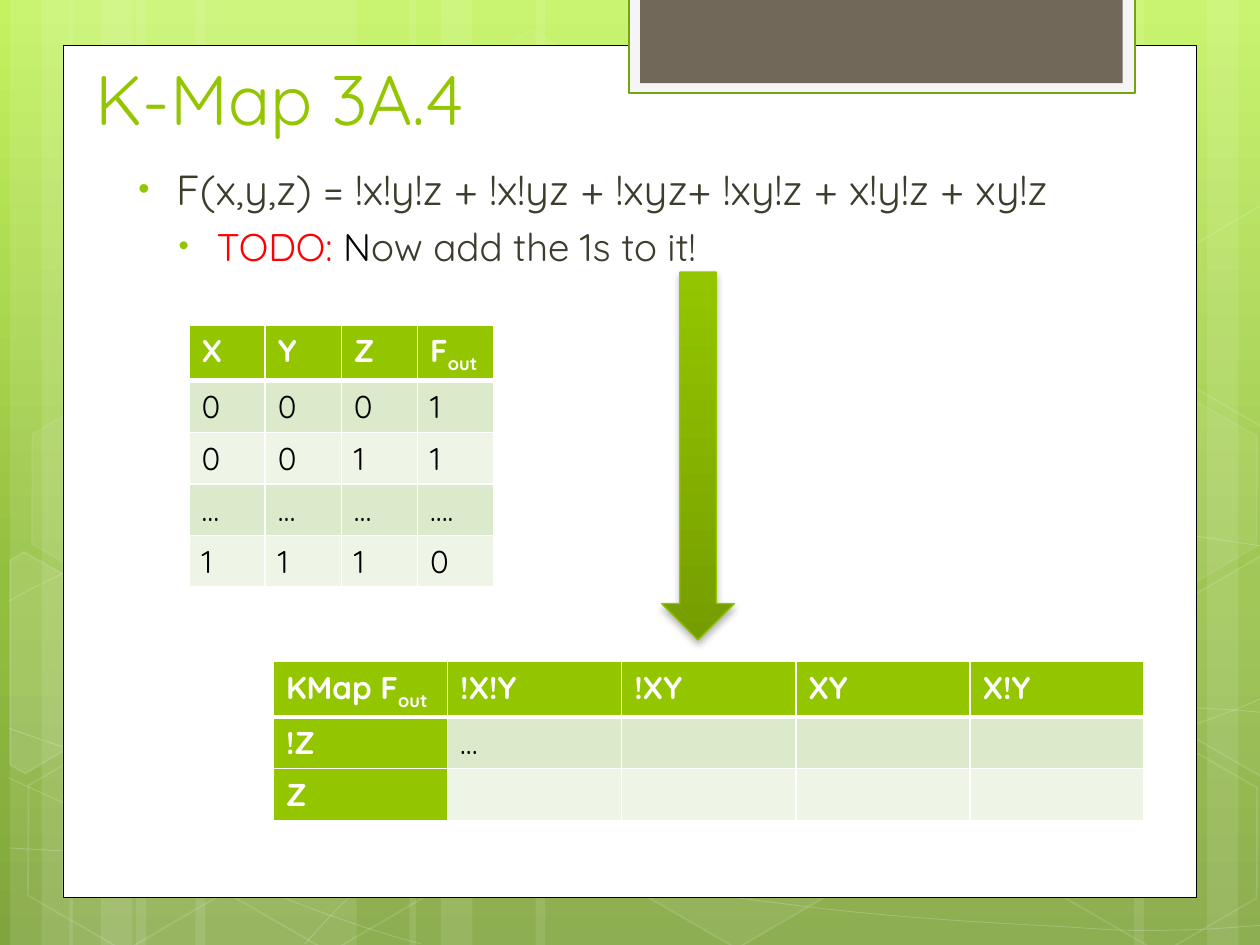
from copy import deepcopy

from lxml import etree
from pptx import Presentation
from pptx.dml.color import RGBColor
from pptx.enum.shapes import MSO_SHAPE
from pptx.enum.text import MSO_ANCHOR, PP_ALIGN
from pptx.oxml.ns import qn
from pptx.util import Pt

RECT, HEX, ARROW = MSO_SHAPE.RECTANGLE, MSO_SHAPE.HEXAGON, MSO_SHAPE.DOWN_ARROW
BOTTOM, LEFT = MSO_ANCHOR.BOTTOM, PP_ALIGN.LEFT

WHITE, BLACK = RGBColor(255, 255, 255), RGBColor(0, 0, 0)
GREEN, DEEP, EDGE = (RGBColor.from_string(c) for c in ("94C600", "769D00", "74A510"))
LIME, LEAF, MOSS = (RGBColor.from_string(c) for c in ("C3F35F", "93BF3F", "81A53E"))
PALE, BAND = RGBColor.from_string("EEF5E7"), RGBColor.from_string("DCEACC")
INK, RED = RGBColor.from_string("3E3D2D"), RGBColor(255, 0, 0)
FRAME, TAUPE = RGBColor.from_string("F5F5F5"), RGBColor.from_string("71685A")
FONT = "Quicksand"
PX = 9144  # 100 px to the inch

# Backdrop data, in px: bars (left, width), hexagons (left, top, fill %, line %)
BARS = [(108, 175), (8, 50), (33, 83), (155, 175), (55, 50), (80, 83), (733, 175),
        (958, 50), (900, 83), (425, 308), (325, 50), (350, 83)]
HEXES = [(334, 36, 4, 8), (497, 589, 6, 12), (11, 591, 0, 12), (14, 312, 7, 8),
         (174, 592, 0, 12), (834, 593, 0, 12), (834, 314, 7, 8)]
# Hexagons cut by the slide edge: points, fill %
CUTS = [
    ([(8, 445), (19, 438), (96, 482), (95, 570), (20, 614), (8, 607)], 10),
    ([(926, 485), (1001, 441), (1009, 446), (1009, 613), (1002, 617), (926, 573)], 4),
    ([(926, 207), (1001, 163), (1010, 168), (1009, 335), (1002, 339), (926, 295)], 0),
]
# Bezier curves: a start, then three points for each piece
CURVES = [
    [(7, 673), (61, 676), (115, 679), (190, 678), (265, 677), (358, 675), (458, 665),
     (558, 655), (700, 636), (792, 617), (883, 598), (977, 568), (1007, 551)],
    [(7, 477), (36, 461), (65, 446), (121, 431), (178, 416), (259, 394), (347, 387),
     (436, 380), (544, 379), (654, 387), (764, 395), (947, 426), (1007, 434)],
    [(6, 617), (127, 672), (247, 727), (334, 749)],
    [(7, 578), (38, 589), (70, 600), (128, 616), (186, 631), (273, 656), (357, 673),
     (440, 690), (545, 708), (628, 718), (711, 729), (800, 733), (853, 736),
     (905, 740), (919, 738), (945, 738), (971, 737), (989, 735), (1007, 734)],
    [(242, 749), (260, 729), (278, 709), (302, 691), (326, 673), (360, 653), (388, 639),
     (416, 625), (433, 619), (470, 609), (506, 599), (573, 585), (608, 578),
     (644, 571), (649, 571), (680, 569), (711, 566), (760, 563), (794, 562),
     (829, 561), (886, 562), (886, 562), (908, 562), (930, 562), (953, 562),
     (971, 563), (988, 564), (997, 565), (1006, 566), (1003, 565), (1006, 566)],
]


def emu(*nums):
    return [round(n * PX) for n in nums]


def paint(shape, fill=None, alpha=100, line=None, width=1, clear=100):
    shape.shadow.inherit = False
    for part, color, pct in ((shape.fill, fill, alpha), (shape.line.fill, line, clear)):
        if color is None or pct == 0:
            part.background()
            continue
        part.solid()
        part.fore_color.rgb = color
        if pct < 100:
            node = part.fore_color._xFill.find(qn("a:srgbClr"))
            etree.SubElement(node, qn("a:alpha"), val=str(pct * 1000))
    if line is not None:
        shape.line.width = Pt(width)
    return shape


def blend(fill, root, stops):
    """Downward gradient with the given (position, colour) stops."""
    fill.gradient()
    fill.gradient_angle = 270
    nodes = root.find(".//" + qn("a:gsLst"))
    while len(nodes) < len(stops):
        nodes.append(deepcopy(nodes[0]))
    for stop, (pos, color) in zip(fill.gradient_stops, stops):
        stop.position, stop.color.rgb = pos, color


def outline(slide, points, close):
    pen = slide.shapes.build_freeform(*points[0], scale=PX)
    pen.add_line_segments(points[1:], close=close)
    return pen.convert_to_shape()


def curve(slide, points):
    """Open outline whose points are joined by threes into bezier pieces."""
    shape = outline(slide, points, False)
    track = shape._element.find(".//" + qn("a:path"))
    lines = track.findall(qn("a:lnTo"))
    for i in range(0, len(lines), 3):
        piece = etree.SubElement(track, qn("a:cubicBezTo"))
        for line in lines[i:i + 3]:
            piece.append(line[0])
            track.remove(line)
    return shape


def backdrop(slide, wide, high):
    blend(slide.background.fill, slide._element,
          [(0, LIME), (0.62, LEAF), (1, MOSS)])
    add = slide.shapes.add_shape
    for x, w in BARS:
        paint(add(RECT, *emu(x, 0, w, high)), WHITE, 10)
    for points in CURVES:
        paint(curve(slide, points), line=WHITE, width=0.5, clear=20)
    for x, y, alpha, clear in HEXES:
        cell = paint(add(HEX, *emu(x, y, 175, 152)), WHITE, alpha, WHITE, 1, clear)
        cell.adjustments[0] = 0.285
        cell.rotation = 30
    for points, alpha in CUTS:
        paint(outline(slide, points, True), WHITE, alpha, WHITE, 1, 12)
    # White panel and the tab hanging from the top
    paint(add(RECT, *emu(50, 36, wide - 100, 676)), WHITE, line=BLACK, width=0.5)
    paint(add(RECT, *emu(499, -2, 402, 76)), FRAME, line=EDGE, width=1.25)
    paint(add(RECT, *emu(508, -2, 383, 68)), TAUPE)


def style(para, size, color=None, bold=False):
    font = para.font
    font.name, font.size, font.bold = FONT, Pt(size), bold
    if color is not None:
        font.color.rgb = color


def heading(slide, box, text):
    title = slide.shapes.title
    slide.shapes._spTree.append(title._element)  # in front of the backdrop
    title.left, title.top, title.width, title.height = emu(*box)
    frame = title.text_frame
    frame.text, frame.vertical_anchor = text, BOTTOM
    frame.paragraphs[0].alignment = LEFT
    style(frame.paragraphs[0], 40, GREEN)


def bullets(slide, box, items):
    """Each item: left margin, size, runs of (text, colour)."""
    frame = slide.shapes.add_textbox(*emu(*box)).text_frame
    frame.word_wrap = True
    for i, (margin, size, runs) in enumerate(items):
        para = frame.add_paragraph() if i else frame.paragraphs[0]
        para.level = i
        if i:
            para.space_before = Pt(5)
        props = para._p.get_or_add_pPr()
        props.set("marL", str(margin * PX))
        props.set("indent", str(-30 * PX))
        tint = etree.SubElement(props, qn("a:buClr"))
        etree.SubElement(tint, qn("a:srgbClr"), val=str(GREEN))
        etree.SubElement(props, qn("a:buSzPct"), val="76000")
        etree.SubElement(props, qn("a:buFont"), typeface="Arial")
        etree.SubElement(props, qn("a:buChar"), char="•")
        style(para, size)
        for text, color in runs:
            run = para.add_run()
            run.text = text
            run.font.color.rgb = color


def border(cell, sides):
    """White cell borders; sides maps a tag to a width in points."""
    props = cell._tc.get_or_add_tcPr()
    for side, width in sides.items():
        line = etree.SubElement(props, qn("a:" + side), w=str(Pt(width)))
        fill = etree.SubElement(line, qn("a:solidFill"))
        etree.SubElement(fill, qn("a:srgbClr"), val=str(WHITE))


def grid(slide, box, rows, side=False):
    """Table with a green head row; text after "_" is set as a subscript."""
    table = slide.shapes.add_table(len(rows), len(rows[0]), *emu(*box)).table
    table.first_col = side
    for r, row in enumerate(rows):
        for c, text in enumerate(row):
            cell = table.cell(r, c)
            head = r == 0 or (side and c == 0)
            border(cell, {"lnL": 1, "lnR": 1, "lnT": 3 if r == 1 else 1,
                          "lnB": 1 if r else 3})
            cell.fill.solid()
            cell.fill.fore_color.rgb = GREEN if head else BAND if r % 2 else PALE
            para = cell.text_frame.paragraphs[0]
            style(para, 18, WHITE if head else BLACK, head)
            for i, part in enumerate(text.split("_") if text else []):
                run = para.add_run()
                run.text = part
                if i:
                    run._r.get_or_add_rPr().set("baseline", "-25000")


def arrow(slide, box):
    shape = paint(slide.shapes.add_shape(ARROW, *emu(*box)), line=GREEN, width=0.75)
    props = shape._element.spPr
    blend(shape.fill, props, [(0, GREEN), (1, DEEP)])
    glow = etree.SubElement(props.find(qn("a:effectLst")), qn("a:outerShdw"),
                            blurRad=str(Pt(4)), dist=str(Pt(2)), dir="5400000")
    shade = etree.SubElement(glow, qn("a:srgbClr"), val=str(BLACK))
    etree.SubElement(shade, qn("a:alpha"), val="28000")


def main():
    deck = Presentation()
    deck.slide_width, deck.slide_height = emu(1000, 750)
    slide = deck.slides.add_slide(deck.slide_layouts[5])
    backdrop(slide, 1000, 750)
    heading(slide, (66, -9, 768, 125), "K-Map 3A.4")
    bullets(slide, (92, 125, 842, 384), [
        (38, 24, [("F(x,y,z) = !x!y!z + !x!yz + !xyz+ !xy!z + x!y!z + xy!z", INK)]),
        (70, 22, [("TODO: ", RED), ("N", BLACK), ("ow add the 1s to it!", INK)]),
    ])
    grid(slide, (217, 525, 691, 123), [
        ["KMap F_out", "!X!Y", "!XY", "XY", "X!Y"],
        ["!Z", "…", "", "", ""], ["Z", "", "", "", ""],
    ], side=True)
    grid(slide, (150, 258, 242, 205), [
        ["X", "Y", "Z", "F_out"], ["0", "0", "0", "1"], ["0", "0", "1", "1"],
        ["…", "…", "…", "…."], ["1", "1", "1", "0"],
    ])
    arrow(slide, (525, 216, 58, 292))
    deck.save("out.pptx")


if __name__ == "__main__":
    main()
